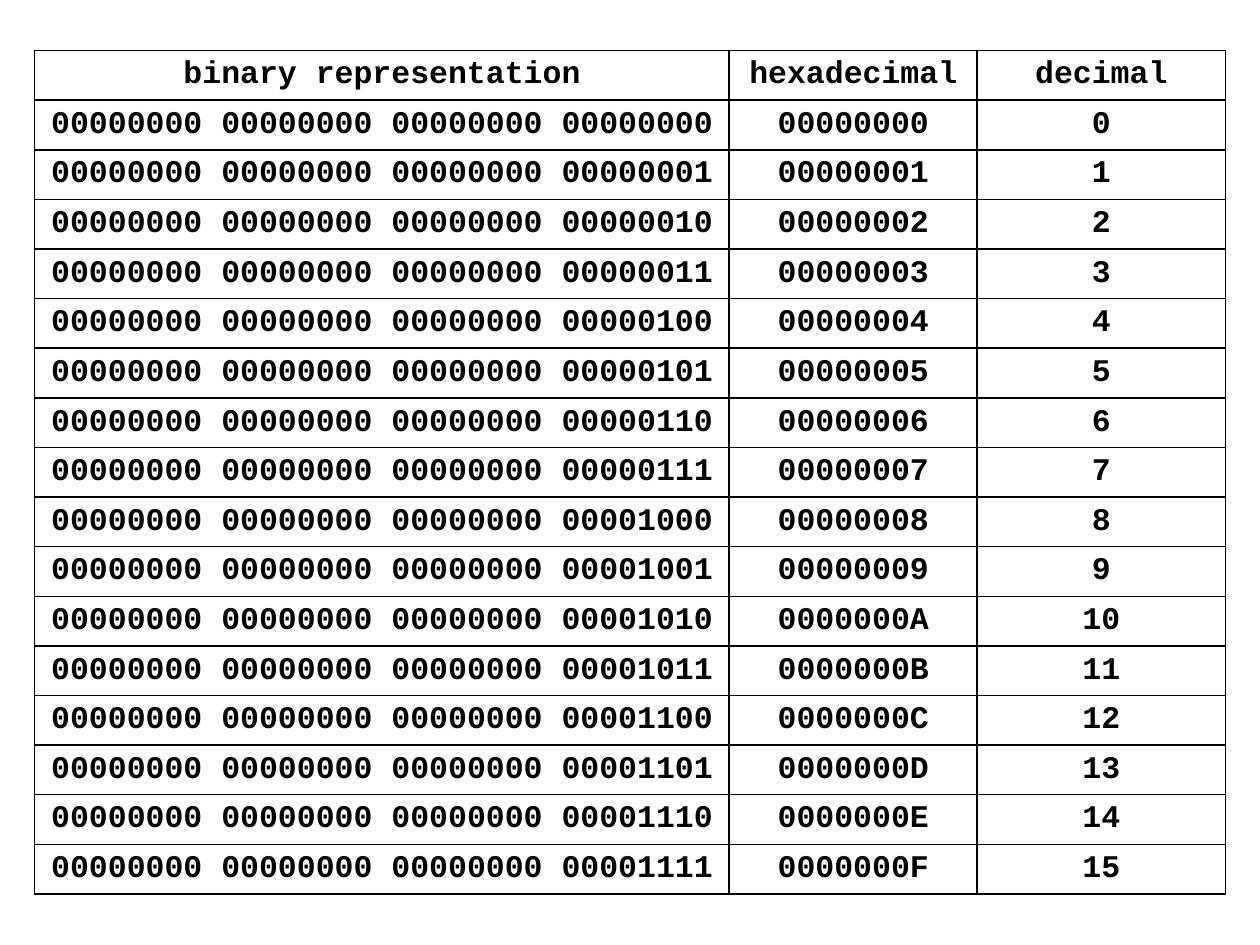
from dataclasses import dataclass

from lxml import etree
from pptx import Presentation
from pptx.dml.color import RGBColor
from pptx.enum.text import MSO_ANCHOR, PP_ALIGN
from pptx.oxml.ns import qn
from pptx.util import Cm, Pt

MIDDLE = MSO_ANCHOR.MIDDLE
CENTER = PP_ALIGN.CENTER
BLANK_LAYOUT = 6


@dataclass(frozen=True)
class Theme:
    font: str = "Courier New"
    size: int = 18
    ink: str = "000000"
    border: int = 1


THEME = Theme()
HEADINGS = ("binary representation", "hexadecimal", "decimal")
COLUMN_SHARES = (14, 5, 5)


def number_row(number):
    """Return the 32-bit binary, hexadecimal and decimal forms of a number."""
    bits = f"{number:032b}"
    octets = " ".join(bits[start:start + 8] for start in range(0, 32, 8))
    return octets, f"{number:08X}", str(number)


def add_borders(cell):
    properties = cell._tc.get_or_add_tcPr()
    for side in ("a:lnL", "a:lnR", "a:lnT", "a:lnB"):
        line = etree.SubElement(properties, qn(side), w=str(Pt(THEME.border)))
        fill = etree.SubElement(line, qn("a:solidFill"))
        etree.SubElement(fill, qn("a:srgbClr"), val=THEME.ink)


def fill_cell(cell, text, side_margin):
    add_borders(cell)
    cell.fill.background()
    cell.vertical_anchor = MIDDLE
    cell.margin_left = cell.margin_right = side_margin
    cell.margin_top = cell.margin_bottom = Cm(0.1)
    cell.text = text
    paragraph = cell.text_frame.paragraphs[0]
    paragraph.alignment = CENTER
    font = paragraph.font
    font.name = THEME.font
    font.size = Pt(THEME.size)
    font.bold = True
    font.color.rgb = RGBColor.from_string(THEME.ink)


def add_number_table(slide, left, top, width, height):
    rows = [HEADINGS, *map(number_row, range(16))]
    table = slide.shapes.add_table(
        len(rows), len(HEADINGS), left, top, width, height).table
    table.horz_banding = False
    for column, share in zip(table.columns, COLUMN_SHARES):
        column.width = width * share // sum(COLUMN_SHARES)
    for row, texts in zip(table.rows, rows):
        row.height = height // len(rows)
        for cell, text in zip(row.cells, texts):
            fill_cell(cell, text, Cm(0.1 if text == "decimal" else 0.25))


def main():
    presentation = Presentation()
    presentation.slide_width = Cm(25.4)
    presentation.slide_height = Cm(19.05)
    slide = presentation.slides.add_slide(
        presentation.slide_layouts[BLANK_LAYOUT])
    add_number_table(slide, Cm(0.7), Cm(1.02), Cm(24), Cm(17))
    presentation.save("out.pptx")


if __name__ == "__main__":
    main()
